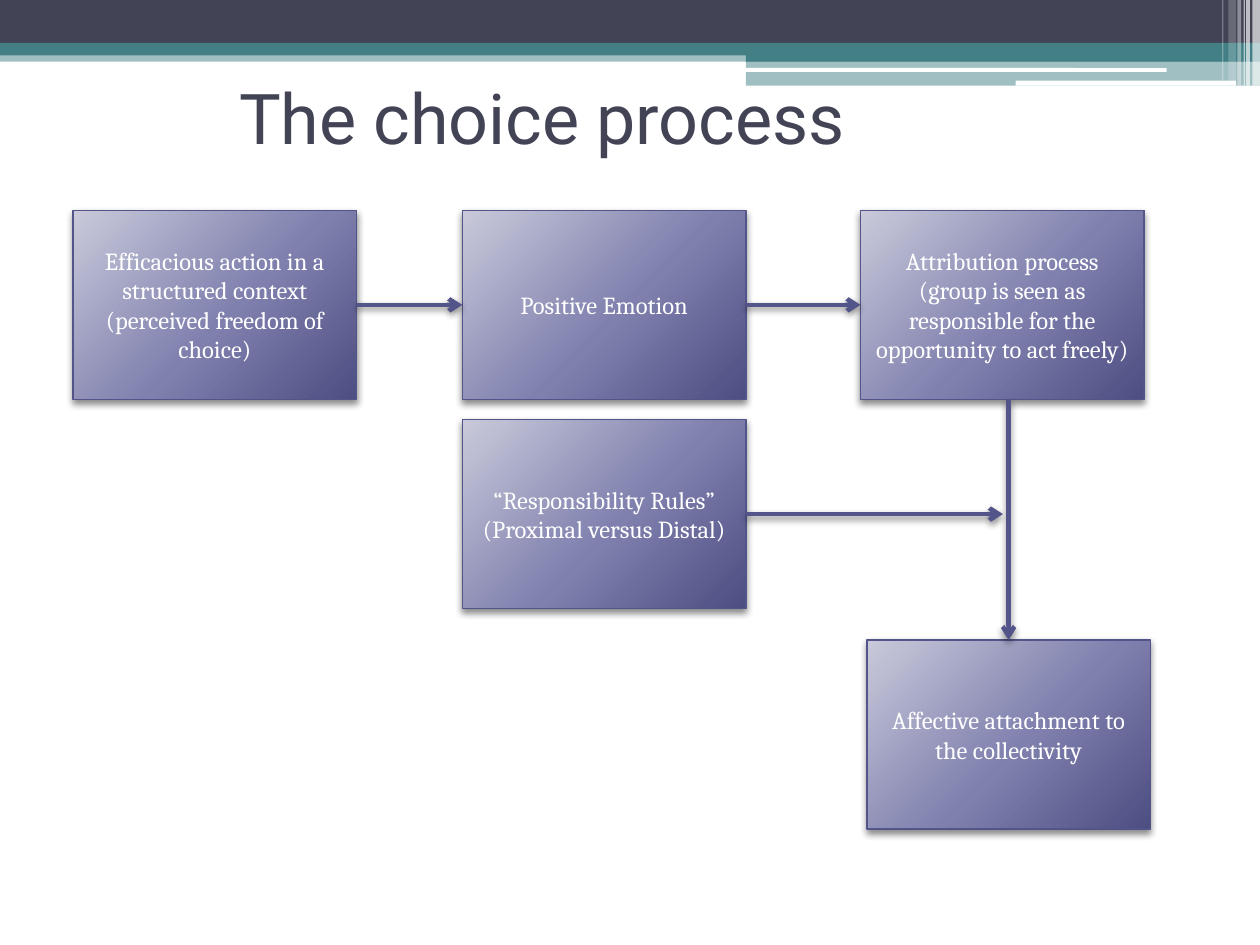
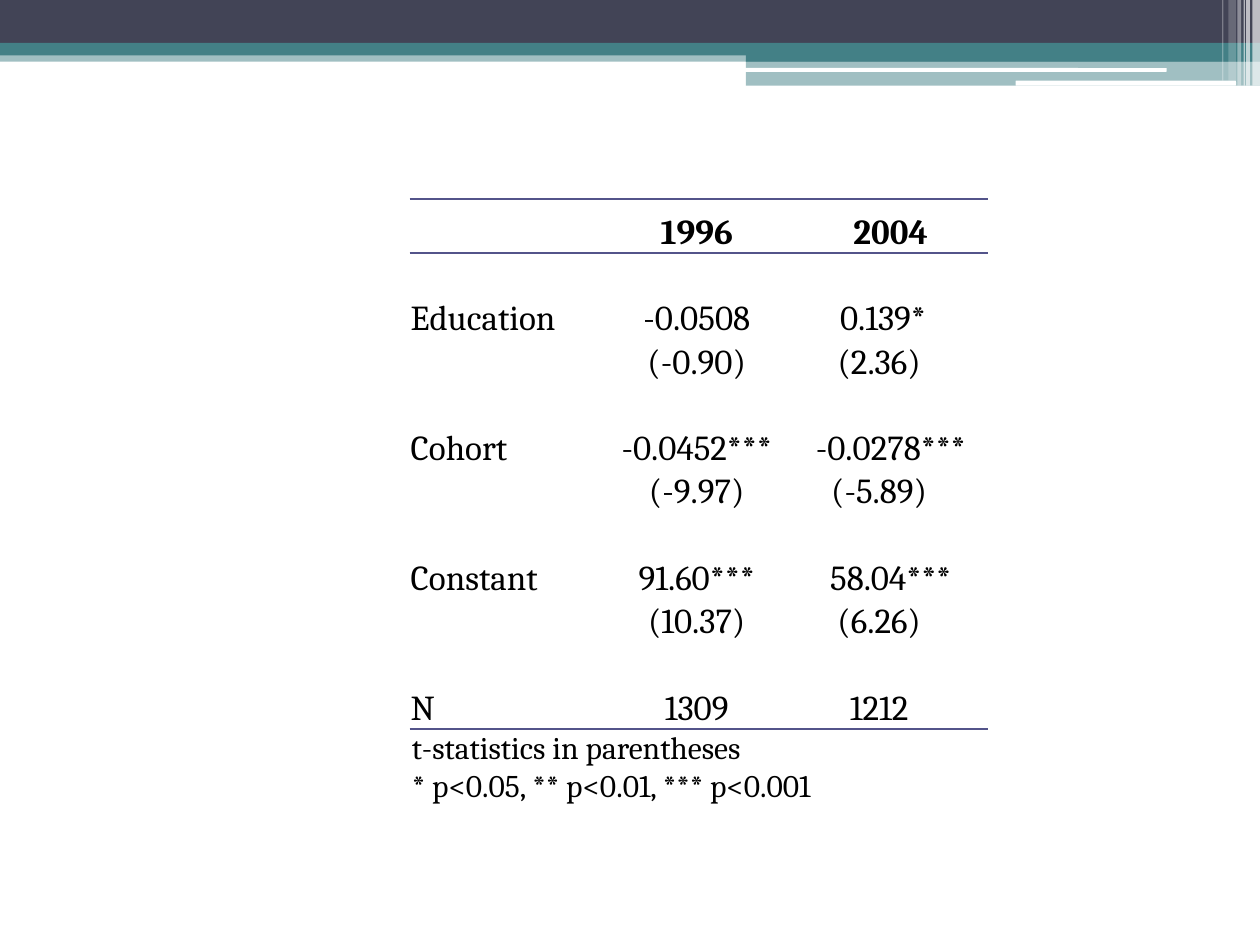
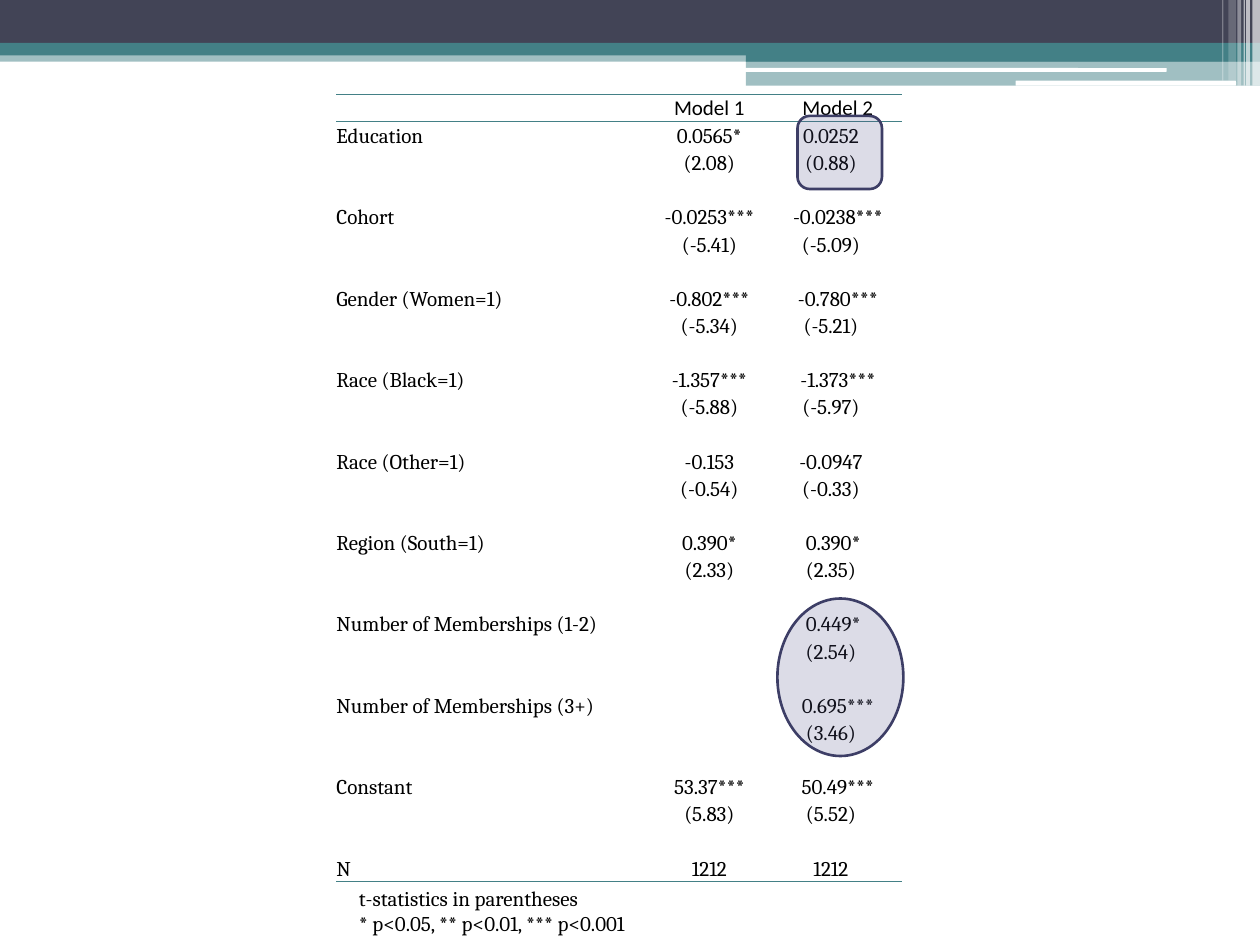
from lxml.etree import SubElement
from pptx import Presentation
from pptx.dml.color import RGBColor
from pptx.enum.shapes import MSO_CONNECTOR, MSO_SHAPE
from pptx.enum.text import MSO_ANCHOR, PP_ALIGN
from pptx.oxml.ns import qn
from pptx.util import Inches, Pt

NAVY, TEAL, VIOLET, DEEP_VIOLET = "424456", "438086", "53548A", "3D3E66"
WHITE, BLACK = "FFFFFF", "000000"
TITLE_FONT, BODY_FONT, HEADER_FONT = "Roboto", "Cambria", "Calibri"
BOX_GRADIENT = [(0, "C9C9DA"), (55, "7F80AE"), (100, "4D4E81")]
NO_TABLE_STYLE = "{2D5ABB26-0587-4C30-8999-92F81FD0307C}"
TOP, LEFT, BOTTOM, RIGHT = range(4)

BOX_WIDTH, BOX_HEIGHT = 2.25, 1.5
COLUMN_LEFTS = (0.58, 3.67, 6.83)
ROW_TOPS = (1.67, 3.33, 5.08)
OUTCOME_LEFT = 6.88

RECTANGLE, ROUNDED = MSO_SHAPE.RECTANGLE, MSO_SHAPE.ROUNDED_RECTANGLE
# kind, left, top, width, height, colour, opacity in percent
BAND_PARTS = [
    (RECTANGLE, 0, 0.4, 10, 0.09, TEAL, 50),
    (RECTANGLE, 0, 0, 10, 0.34, NAVY, 100),
    (RECTANGLE, 0, 0.34, 10, 0.1, TEAL, 100),
    (RECTANGLE, 5.92, 0.39, 4.08, 0.1, TEAL, 100),
    (RECTANGLE, 5.92, 0.48, 4.08, 0.2, TEAL, 50),
    (ROUNDED, 5.91, 0.54, 3.35, 0.03, WHITE, 100),
    (ROUNDED, 8.06, 0.64, 1.75, 0.04, WHITE, 100),
    (RECTANGLE, 9.94, 0, 0.06, 0.68, WHITE, 65),
    (RECTANGLE, 9.89, 0, 0.03, 0.68, WHITE, 65),
    (RECTANGLE, 9.87, 0, 0.01, 0.68, WHITE, 60),
    (RECTANGLE, 9.82, 0, 0.03, 0.68, WHITE, 40),
    (RECTANGLE, 9.75, 0, 0.06, 0.64, WHITE, 20),
    (RECTANGLE, 9.7, 0, 0.01, 0.64, WHITE, 30),
]

# label, coefficients, t-statistics
YEAR_ESTIMATES = [
    ("Education", ("-0.0508", "0.139*"), ("(-0.90)", "(2.36)")),
    ("Cohort", ("-0.0452***", "-0.0278***"), ("(-9.97)", "(-5.89)")),
    ("Constant", ("91.60***", "58.04***"), ("(10.37)", "(6.26)")),
]
MODEL_ESTIMATES = [
    ("Education", ("0.0565*", "0.0252"), ("(2.08)", "(0.88)")),
    ("Cohort", ("-0.0253***", "-0.0238***"), ("(-5.41)", "(-5.09)")),
    ("Gender (Women=1)", ("-0.802***", "-0.780***"), ("(-5.34)", "(-5.21)")),
    ("Race (Black=1)", ("-1.357***", "-1.373***"), ("(-5.88)", "(-5.97)")),
    ("Race (Other=1)", ("-0.153", "-0.0947"), ("(-0.54)", "(-0.33)")),
    ("Region (South=1)", ("0.390*", "0.390*"), ("(2.33)", "(2.35)")),
    ("Number of Memberships (1-2)", ("", "0.449*"), ("", "(2.54)")),
    ("Number of Memberships (3+)", ("", "0.695***"), ("", "(3.46)")),
    ("Constant", ("53.37***", "50.49***"), ("(5.83)", "(5.52)")),
]
TABLE_NOTES = ["t-statistics in parentheses", "* p<0.05, ** p<0.01, *** p<0.001"]


def color(hex_value):
    return RGBColor.from_string(hex_value)


def inches(*lengths):
    return [Inches(length) for length in lengths]


def set_font(paragraph, name, size, hex_value, bold=False):
    font = paragraph.font
    font.name, font.size, font.bold = name, Pt(size), bold
    font.color.rgb = color(hex_value)


def write_lines(frame, lines, name, size, hex_value, align=PP_ALIGN.LEFT):
    frame.word_wrap = True
    for index, line in enumerate(lines):
        paragraph = frame.add_paragraph() if index else frame.paragraphs[0]
        paragraph.text = line
        paragraph.alignment = align
        set_font(paragraph, name, size, hex_value)


def add_text(page, place, lines, name, size, hex_value, anchor=MSO_ANCHOR.TOP):
    frame = page.shapes.add_textbox(*inches(*place)).text_frame
    frame.vertical_anchor = anchor
    write_lines(frame, lines, name, size, hex_value)


def add_filled_shape(page, kind, place, hex_value, opacity=100, line=None):
    shape = page.shapes.add_shape(kind, *inches(*place))
    shape.shadow.inherit = False
    shape.fill.solid()
    shape.fill.fore_color.rgb = color(hex_value)
    if opacity < 100:
        tint = shape._element.spPr.find(".//" + qn("a:srgbClr"))
        SubElement(tint, qn("a:alpha"), val=str(opacity * 1000))
    if line:
        shape.line.color.rgb = color(line)
        shape.line.width = Pt(1.5)
    else:
        shape.line.fill.background()


def add_shadow(properties):
    effects = properties.find(qn("a:effectLst"))
    if effects is None:
        effects = SubElement(properties, qn("a:effectLst"))
    shadow = SubElement(effects, qn("a:outerShdw"), blurRad=str(Pt(4)),
                        dist=str(Pt(2)), dir="5400000", rotWithShape="0")
    tint = SubElement(shadow, qn("a:srgbClr"), val=BLACK)
    SubElement(tint, qn("a:alpha"), val="45000")


def set_box_gradient(shape):
    shape.fill.gradient()
    gradient = shape._element.spPr.find(qn("a:gradFill"))
    gradient.clear()
    stops = SubElement(gradient, qn("a:gsLst"))
    for position, hex_value in BOX_GRADIENT:
        stop = SubElement(stops, qn("a:gs"), pos=str(position * 1000))
        SubElement(stop, qn("a:srgbClr"), val=hex_value)
    radial = SubElement(gradient, qn("a:path"), path="circle")
    SubElement(radial, qn("a:fillToRect"),
               l="-40000", t="-90000", r="140000", b="190000")


def add_step(page, left, top, lines):
    box = page.shapes.add_shape(
        RECTANGLE, *inches(left, top, BOX_WIDTH, BOX_HEIGHT))
    box.shadow.inherit = False
    set_box_gradient(box)
    box.line.color.rgb = color(VIOLET)
    box.line.width = Pt(0.75)
    add_shadow(box._element.spPr)
    box.text_frame.vertical_anchor = MSO_ANCHOR.MIDDLE
    write_lines(box.text_frame, lines, BODY_FONT, 14, WHITE, PP_ALIGN.CENTER)
    return box


def add_arrow(page, start, end, start_joint=None, end_joint=None):
    """Draw an arrow; each joint is a box and the side to join."""
    arrow = page.shapes.add_connector(
        MSO_CONNECTOR.STRAIGHT, *inches(*start, *end))
    if start_joint:
        arrow.begin_connect(*start_joint)
    if end_joint:
        arrow.end_connect(*end_joint)
    arrow.line.color.rgb = color(VIOLET)
    arrow.line.width = Pt(2.5)
    SubElement(arrow.line._get_or_add_ln(), qn("a:tailEnd"), type="arrow")
    add_shadow(arrow._element.spPr)


def add_rule(cell, edge, hex_value):
    rule = SubElement(cell._tc.get_or_add_tcPr(), qn(edge), w=str(Pt(1)))
    fill = SubElement(rule, qn("a:solidFill"))
    SubElement(fill, qn("a:srgbClr"), val=hex_value)


def estimate_rows(estimates, counts):
    """Give each estimate a coefficient row, a t-statistic row and a gap."""
    rows = []
    for label, coefficients, statistics in estimates:
        rows += [(label, *coefficients), ("", *statistics), ("", "", "")]
    return rows + [("N", *counts)]


def add_results(page, place, widths, header_height, rows, size, inset,
                rule_color, header_font, header_bold):
    left, top, width, height = place
    table = page.shapes.add_table(
        len(rows), len(widths), *inches(left, top, width, height)).table
    table.first_row = table.horz_banding = False
    table._tbl.tblPr.find(qn("a:tableStyleId")).text = NO_TABLE_STYLE
    for column, column_width in zip(table.columns, widths):
        column.width = Inches(column_width)
    body_height = (height - header_height) / (len(rows) - 1)
    last = len(rows) - 1
    for row_index, values in enumerate(rows):
        is_header = row_index == 0
        table.rows[row_index].height = Inches(
            header_height if is_header else body_height)
        for column_index, value in enumerate(values):
            cell = table.cell(row_index, column_index)
            cell.margin_left = cell.margin_top = Inches(inset)
            cell.margin_right, cell.margin_bottom = Inches(inset), 0
            if column_index == 2 and not is_header:
                # Room for missing stars keeps the last column's digits aligned
                missing_stars = 3 - value.count("*")
                cell.margin_right += Pt(missing_stars * size * 0.22)
            cell.vertical_anchor = MSO_ANCHOR.BOTTOM
            if is_header:
                add_rule(cell, "a:lnT", rule_color)
            if row_index in (0, last):
                add_rule(cell, "a:lnB", rule_color)
            cell.fill.background()
            paragraph = cell.text_frame.paragraphs[0]
            paragraph.alignment = (
                PP_ALIGN.CENTER if column_index else PP_ALIGN.LEFT)
            if value:
                paragraph.text = value
            else:
                SubElement(paragraph._p, qn("a:endParaRPr"), sz=str(size * 100))
            set_font(paragraph, header_font if is_header else BODY_FONT,
                     size, BLACK, is_header and header_bold)


def add_page(deck):
    page = deck.slides.add_slide(deck.slide_layouts[6])
    for kind, left, top, width, height, hex_value, opacity in BAND_PARTS:
        add_filled_shape(
            page, kind, (left, top, width, height), hex_value, opacity)
    return page


def build_choice_process(deck):
    page = add_page(deck)
    add_text(page, (1.8, 0.3, 8.2, 1.25), ["The choice process"],
             TITLE_FONT, 40, NAVY, MSO_ANCHOR.MIDDLE)
    first, second, third = COLUMN_LEFTS
    upper, middle, lower = ROW_TOPS
    action = add_step(page, first, upper, [
        "Efficacious action in a structured context",
        "(perceived freedom of choice)"])
    emotion = add_step(page, second, upper, ["Positive Emotion"])
    attribution = add_step(page, third, upper, [
        "Attribution process",
        "(group is seen as responsible for the opportunity to act freely)"])
    rules = add_step(page, second, middle, [
        "“Responsibility Rules”", "(Proximal versus Distal)"])
    attachment = add_step(page, OUTCOME_LEFT, lower, [
        "Affective attachment to the collectivity"])

    upper_center = upper + BOX_HEIGHT / 2
    middle_center = middle + BOX_HEIGHT / 2
    outcome_center = OUTCOME_LEFT + BOX_WIDTH / 2
    add_arrow(page, (first + BOX_WIDTH, upper_center), (second, upper_center),
              (action, RIGHT), (emotion, LEFT))
    add_arrow(page, (second + BOX_WIDTH, upper_center), (third, upper_center),
              (emotion, RIGHT), (attribution, LEFT))
    add_arrow(page, (outcome_center, upper + BOX_HEIGHT),
              (outcome_center, lower), end_joint=(attachment, TOP))
    add_arrow(page, (second + BOX_WIDTH, middle_center), (7.96, middle_center),
              (rules, RIGHT))


def build_year_results(deck):
    page = add_page(deck)
    rows = [("", "1996", "2004"), ("", "", "")]
    rows += estimate_rows(YEAR_ESTIMATES, ("1309", "1212"))
    add_results(page, (3.25, 1.58, 4.58, 4.21), (1.51, 1.54, 1.54), 0.43, rows,
                20, 0.01, VIOLET, BODY_FONT, True)
    add_text(page, (3.17, 5.73, 4.83, 0.7), TABLE_NOTES, BODY_FONT, 18, BLACK)


def build_model_results(deck):
    page = add_page(deck)
    add_text(page, (2.75, 6.98, 4.83, 0.5), TABLE_NOTES, BODY_FONT, 12, BLACK)
    rows = [("", "Model 1", "Model 2")]
    rows += estimate_rows(MODEL_ESTIMATES, ("1212", "1212"))
    add_results(page, (2.67, 0.75, 4.5, 6.25), (2.45, 1.02, 1.02),
                6.25 / len(rows), rows, 12, 0, TEAL, HEADER_FONT, False)
    for kind, place in ((MSO_SHAPE.OVAL, (6.17, 4.75, 1, 1.25)),
                        (ROUNDED, (6.33, 0.92, 0.67, 0.58))):
        add_filled_shape(page, kind, place, VIOLET, 20, DEEP_VIOLET)


def main():
    deck = Presentation()
    deck.slide_width, deck.slide_height = Inches(10), Inches(7.5)
    build_choice_process(deck)
    build_year_results(deck)
    build_model_results(deck)
    deck.save("out.pptx")


if __name__ == "__main__":
    main()
